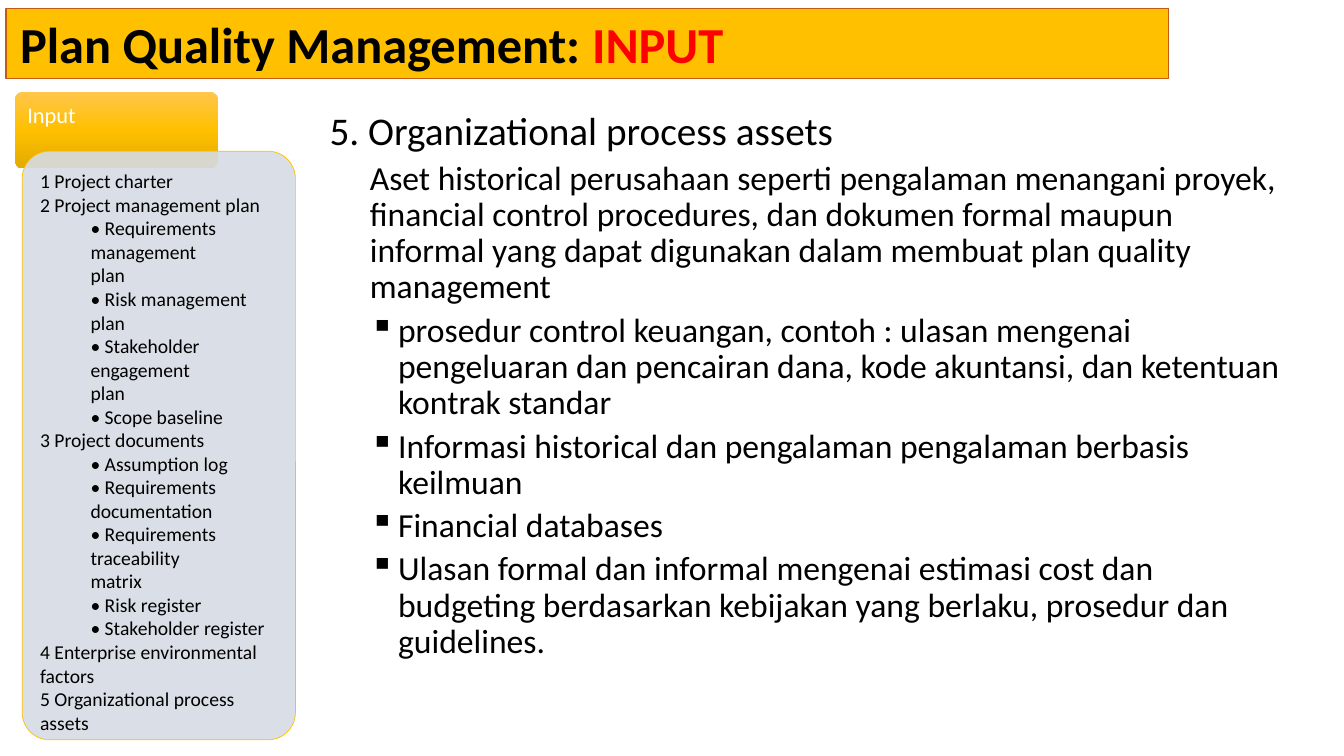
import copy

import pptx
import pptx.dml.color
import pptx.enum.shapes
import pptx.enum.text
import pptx.oxml
import pptx.oxml.ns
import pptx.util

SLIDE_SIZE = (13.33, 7.5)
FONT = "Calibri"
BLACK, WHITE, RED, AMBER = "000000", "FFFFFF", "FF0000", "FFC000"

TITLE = [("Plan Quality Management: ", BLACK), ("INPUT", RED)]
TAB_LABEL = "Input"
TAB_GRADIENT = [(0, "FFC64B"), (0.5, AMBER), (1, "E3AB00")]

# (heading, lines indented below it)
INPUTS = [
    ("1 Project charter", []),
    ("2 Project management plan", [
        "• Requirements management", "plan", "• Risk management plan",
        "• Stakeholder engagement", "plan", "• Scope baseline"]),
    ("3 Project documents", [
        "• Assumption log", "• Requirements", "documentation",
        "• Requirements traceability", "matrix", "• Risk register",
        "• Stakeholder register"]),
    ("4 Enterprise environmental", []),
    ("factors", []),
    ("5 Organizational process assets", []),
]

HEADING = "5. Organizational process assets"
SUMMARY = (
    "Aset historical perusahaan seperti pengalaman menangani proyek, financial "
    "control procedures, dan dokumen formal maupun informal yang dapat digunakan "
    "dalam membuat plan quality management")
ASSETS = [
    "prosedur control keuangan, contoh : ulasan mengenai pengeluaran dan "
    "pencairan dana, kode akuntansi, dan ketentuan kontrak standar",
    "Informasi historical dan pengalaman pengalaman berbasis keilmuan",
    "Financial databases",
    "Ulasan formal dan informal mengenai estimasi cost dan budgeting "
    "berdasarkan kebijakan yang berlaku, prosedur dan guidelines.",
]

SHAPES = pptx.enum.shapes.MSO_SHAPE
ALIGN = pptx.enum.text.PP_ALIGN
ANCHOR = pptx.enum.text.MSO_ANCHOR
qn = pptx.oxml.ns.qn


def color(hex_code):
    return pptx.dml.color.RGBColor.from_string(hex_code)


def inches(*lengths):
    return [pptx.util.Inches(length) for length in lengths]


def set_frame(box, insets, anchor=ANCHOR.TOP):
    """Set wrapping, anchor and insets (left, top, right, bottom)."""
    frame = box.text_frame
    frame.word_wrap = True
    frame.vertical_anchor = anchor
    (frame.margin_left, frame.margin_top,
     frame.margin_right, frame.margin_bottom) = inches(*insets)


def add_block(slide, kind, place, insets, anchor=ANCHOR.TOP, line=None):
    """Add a shape without shadow; line is (colour, points) or None."""
    box = slide.shapes.add_shape(kind, *inches(*place))
    box.shadow.inherit = False
    if kind == SHAPES.ROUNDED_RECTANGLE:
        box.adjustments[0] = 0.1
    if line:
        box.line.color.rgb = color(line[0])
        box.line.width = pptx.util.Pt(line[1])
    else:
        box.line.fill.background()
    set_frame(box, insets, anchor)
    return box


def fill_gradient(box, stops):
    """Fill downwards through three colour stops."""
    box.fill.gradient()
    box.fill.gradient_angle = 270
    stop_list = box._element.spPr.find(".//" + qn("a:gsLst"))
    stop_list.append(copy.deepcopy(stop_list[-1]))
    for stop, (position, hex_code) in zip(box.fill.gradient_stops, stops):
        stop.position = position
        stop.color.rgb = color(hex_code)


def style(span, size, hex_code, bold=False):
    span.font.name = FONT
    span.font.size = pptx.util.Pt(size)
    span.font.color.rgb = color(hex_code)
    span.font.bold = bold


def write(box, rows, hex_code=BLACK, spacing=1.0):
    """Fill a box; each row is (text, size, level, left, first line, before, bullet)."""
    frame = box.text_frame
    for index, (text, size, level, left, first, before, bullet) in enumerate(rows):
        para = frame.add_paragraph() if index else frame.paragraphs[0]
        para.text = text
        para.level = level
        para.alignment = ALIGN.LEFT
        properties = para._p.get_or_add_pPr()
        left_indent, first_indent = inches(left, first)
        properties.set("marL", str(left_indent))
        properties.set("indent", str(first_indent))
        if bullet:
            mark = pptx.oxml.parse_xml(
                f'<a:buChar {pptx.oxml.ns.nsdecls("a")} char="{bullet}"/>')
            properties.append(mark)
        para.line_spacing = spacing
        para.space_before = pptx.util.Pt(before)
        style(para.runs[0], size, hex_code)


def add_title(slide):
    bar = add_block(slide, SHAPES.RECTANGLE, (0.06, 0.08, 11.53, 0.7),
                    (0.14, 0.05, 0.09, 0.05), ANCHOR.MIDDLE, ("C55A11", 0.75))
    bar.fill.solid()
    bar.fill.fore_color.rgb = color(AMBER)
    para = bar.text_frame.paragraphs[0]
    para.alignment = ALIGN.LEFT
    for text, hex_code in TITLE:
        span = para.add_run()
        span.text = text
        style(span, 36, hex_code, bold=True)


def add_body(slide):
    body = slide.shapes.add_textbox(*inches(3.1, 1.06, 9.71, 6.08))
    set_frame(body, (0.1, 0.05, 0.1, 0.05))
    rows = [(HEADING, 28, 0, 0.07, 0, 0, None),
            (SUMMARY, 24, 1, 0.47, 0, 5, None)]
    rows += [(asset, 24, 1, 0.75, -0.28, 5, "▪") for asset in ASSETS]
    write(body, rows, spacing=0.9)
    body.text_frame.paragraphs[0].alignment = ALIGN.JUSTIFY


def add_input_panel(slide):
    tab = add_block(slide, SHAPES.ROUNDED_RECTANGLE, (0.15, 0.91, 2.01, 0.76),
                    (0.1, 0.1, 0.1, 0.3))
    fill_gradient(tab, TAB_GRADIENT)
    write(tab, [(TAB_LABEL, 16, 0, 0, 0, 0, None)], WHITE, 0.9)

    panel = add_block(slide, SHAPES.ROUNDED_RECTANGLE, (0.22, 1.5, 2.71, 5.84),
                      (0.1, 0.1, 0.1, 0.1), line=(AMBER, 0.5))
    panel.fill.solid()
    panel.fill.fore_color.rgb = color("D6DCE5")
    tint = panel._element.spPr.find(qn("a:solidFill"))[0]
    tint.append(pptx.oxml.parse_xml(
        f'<a:alpha {pptx.oxml.ns.nsdecls("a")} val="90000"/>'))
    rows = []
    for heading, details in INPUTS:
        rows.append((heading, 14, 0, 0, 0, 0, None))
        rows += [(detail, 14, 1, 0.5, 0, 0, None) for detail in details]
    write(panel, rows)


def main():
    deck = pptx.Presentation()
    deck.slide_width, deck.slide_height = inches(*SLIDE_SIZE)
    slide = deck.slides.add_slide(deck.slide_layouts[6])
    add_title(slide)
    add_body(slide)
    add_input_panel(slide)
    deck.save("out.pptx")


if __name__ == "__main__":
    main()
